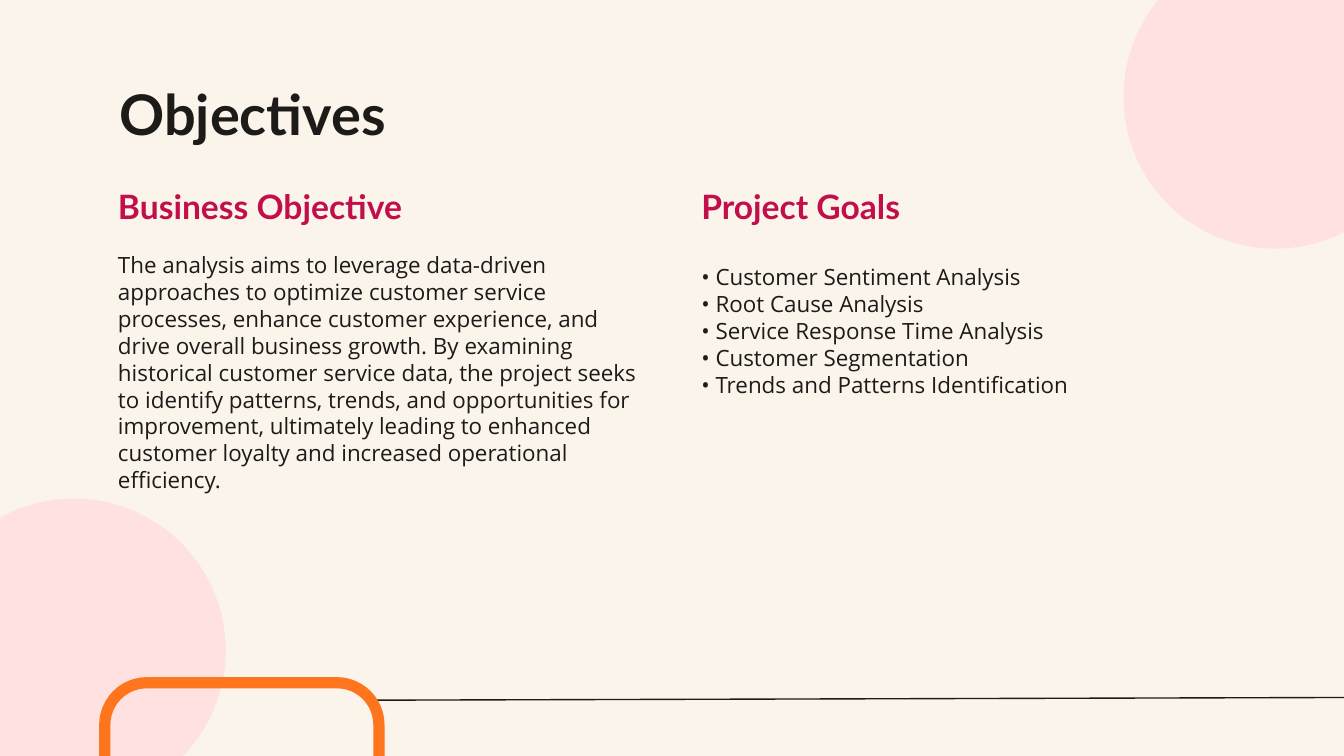
import pptx
import pptx.util
import pptx.dml.color
import pptx.enum.shapes
import pptx.enum.text
import pptx.oxml.ns
import lxml.etree

Inches = pptx.util.Inches
SHAPE = pptx.enum.shapes.MSO_SHAPE
ANCHOR = pptx.enum.text.MSO_ANCHOR

CREAM, INK, CRIMSON, PINK, ORANGE = "FBF4EA", "1C1B19", "C20F4C", "FFE1E1", "FF751E"
LEFT, RIGHT, COLUMN = 0.78, 5.12, 4.1
DIAMETER = 2.26

OBJECTIVE = [
    "The analysis aims to leverage data-driven approaches to optimize customer service "
    "processes, enhance customer experience, and drive overall business growth. By examining "
    "historical customer service data, the project seeks to identify patterns, trends, and "
    "opportunities for improvement, ultimately leading to enhanced customer loyalty and "
    "increased operational efficiency."
]
GOALS = [
    "• Customer Sentiment Analysis",
    "• Root Cause Analysis",
    "• Service Response Time Analysis",
    "• Customer Segmentation",
    "• Trends and Patterns Identification",
]
STYLES = {
    "title": ("Lato", 30, INK, True, ANCHOR.TOP),
    "heading": ("Lato", 18, CRIMSON, True, ANCHOR.BOTTOM),
    "body": ("Open Sans", 12, INK, False, ANCHOR.TOP),
}
TEXTS = [
    ("heading", ["Project Goals"], (RIGHT, 1.25, COLUMN, 0.53)),
    ("title", ["Objectives"], (0.79, 0.49, 8.43, 0.63)),
    ("body", GOALS, (RIGHT, 1.86, COLUMN, 1.41)),
    ("body", OBJECTIVE, (LEFT, 1.77, COLUMN, 2.01)),
    ("heading", ["Business Objective"], (LEFT, 1.25, COLUMN, 0.53)),
]
CIRCLES = [(-0.58, 3.71), (8.36, -0.41)]


def color(value):
    return pptx.dml.color.RGBColor.from_string(value)


def add_text(slide, style, lines, place):
    font, size, ink, bold, anchor = STYLES[style]
    box = slide.shapes.add_textbox(*map(Inches, place))
    frame = box.text_frame
    frame.word_wrap = True
    frame.vertical_anchor = anchor
    frame.margin_left = frame.margin_right = Inches(0.1)
    frame.margin_top = frame.margin_bottom = Inches(0.1)
    frame.text = "\n".join(lines)
    for para in frame.paragraphs:
        for span in para.runs:
            span.font.name = font
            span.font.size = pptx.util.Pt(size)
            span.font.bold = bold
            span.font.color.rgb = color(ink)


def add_shape(slide, kind, place):
    shape = slide.shapes.add_shape(kind, *map(Inches, place))
    shape.shadow.inherit = False
    return shape


deck = pptx.Presentation()
deck.slide_width = Inches(10)
deck.slide_height = deck.slide_width * 9 // 16
slide = deck.slides.add_slide(deck.slide_layouts[6])
slide.background.fill.solid()
slide.background.fill.fore_color.rgb = color(CREAM)

rule = slide.shapes.add_connector(
    pptx.enum.shapes.MSO_CONNECTOR.STRAIGHT, *map(Inches, (2.78, 5.21, 10, 5.19))
)
rule.line.color.rgb = color(INK)
rule.line.width = pptx.util.Pt(0.75)
lxml.etree.SubElement(rule._element.spPr, pptx.oxml.ns.qn("a:effectLst"))

for style, lines, place in TEXTS:
    add_text(slide, style, lines, place)

for left, top in CIRCLES:
    circle = add_shape(slide, SHAPE.OVAL, (left, top, DIAMETER, DIAMETER))
    circle.fill.solid()
    circle.fill.fore_color.rgb = color(PINK)
    circle.line.fill.background()

arch = add_shape(slide, SHAPE.ROUND_2_SAME_RECTANGLE, (0.78, 5.08, 2.04, 1.01))
arch.adjustments[0] = 0.31
arch.adjustments[1] = 0
arch.fill.background()
arch.line.color.rgb = color(ORANGE)
arch.line.width = pptx.util.Pt(6)

deck.save("out.pptx")
